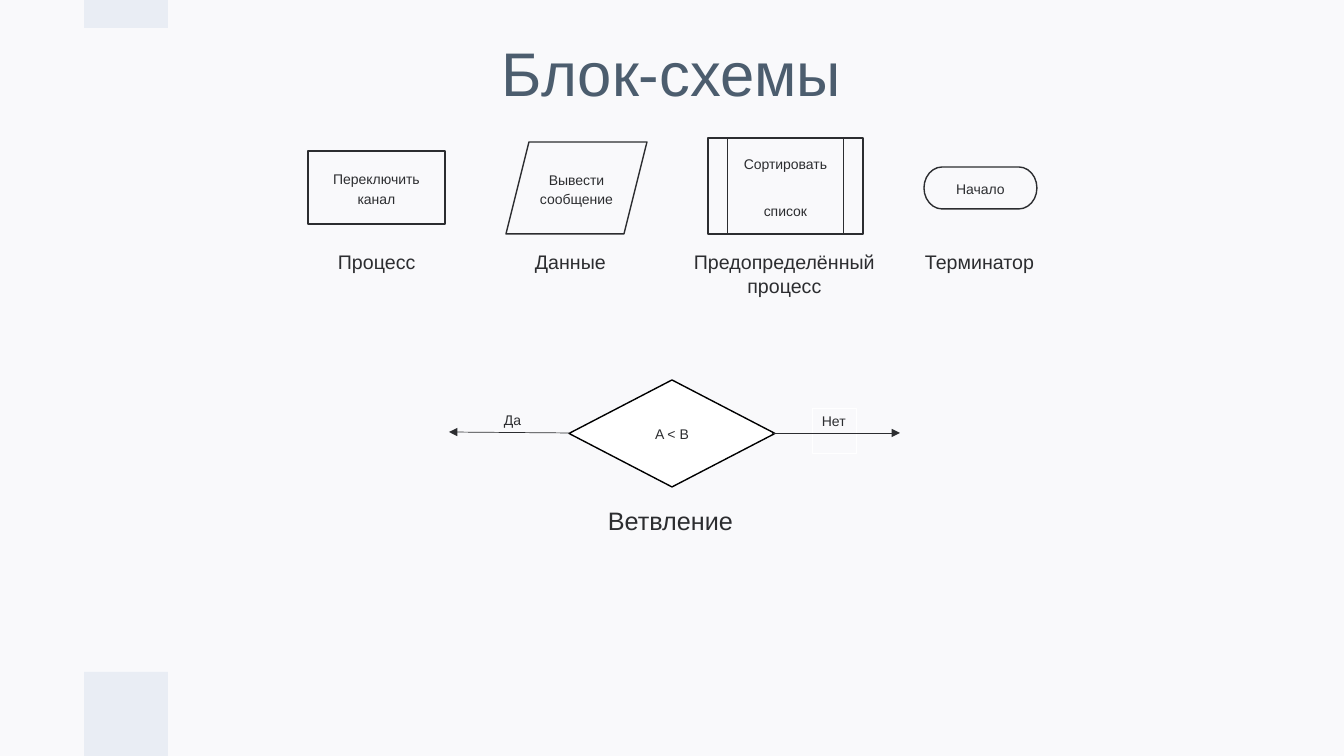
"""Build a slide that shows the basic flowchart symbols."""
from lxml.etree import SubElement
from pptx import Presentation
from pptx.dml.color import RGBColor
from pptx.enum.shapes import MSO_CONNECTOR as Connector, MSO_SHAPE as Shape
from pptx.enum.text import MSO_ANCHOR as Anchor, MSO_AUTO_SIZE as AutoSize, PP_ALIGN as Align
from pptx.oxml.ns import qn
from pptx.util import Pt

EMU_PER_PIXEL = 914400 / 100.8
COLORS = {"background": "F9F9FB", "accent": "E9EDF4", "title": "4C5D6E",
          "ink": "2C2D30", "white": "FFFFFF", "black": "000000"}
CENTERED = {"alignment": Align.CENTER}
SPACED = {**CENTERED, "line_spacing": 1.15, "space_before": Pt(10), "space_after": Pt(10)}


def pixels(*lengths):
    return [round(length * EMU_PER_PIXEL) for length in lengths]


def color(name):
    return RGBColor.from_string(COLORS[name])


def apply_format(target, values):
    for name, value in values.items():
        setattr(target, name, value)


class SlideBuilder:
    def __init__(self, slide, font="Arial"):
        self.slide = slide
        self.font = font
        self.paint(slide.background.fill, "background")

    def paint(self, fill, name):
        if name:
            fill.solid()
            fill.fore_color.rgb = color(name)
        else:
            fill.background()

    def set_text(self, shape, lines, size, ink="ink", formats=({},), frame=None):
        apply_format(shape.text_frame, {"word_wrap": True, **(frame or {})})
        shape.text_frame.text = "\n".join(lines)
        for index, paragraph in enumerate(shape.text_frame.paragraphs):
            values = formats[min(index, len(formats) - 1)]
            apply_format(paragraph, {"alignment": Align.LEFT, **values})
            for run in paragraph.runs:
                apply_format(run.font, {"name": self.font, "size": Pt(size)})
                run.font.color.rgb = color(ink)

    def text(self, box, lines, size, **style):
        self.set_text(self.slide.shapes.add_textbox(*pixels(*box)), lines, size, **style)

    def label(self, box, lines, size=14, grow=True, formats=({},)):
        fit = AutoSize.SHAPE_TO_FIT_TEXT if grow else AutoSize.NONE
        self.text(box, lines, size, formats=formats, frame={"word_wrap": False, "auto_size": fit})

    def symbol(self, kind, box, fill=None, line=None, width=1, lines=(), **style):
        shape = self.slide.shapes.add_shape(kind, *pixels(*box))
        shape.shadow.inherit = False
        self.paint(shape.fill, fill)
        self.paint(shape.line.fill, line)
        if line:
            shape.line.width = Pt(width)
        if lines:
            self.set_text(shape, lines, 10, **style)

    def arrow(self, start, end):
        connector = self.slide.shapes.add_connector(Connector.STRAIGHT, *pixels(*start, *end))
        self.paint(connector.line.fill, "ink")
        connector.line.width = Pt(0.5)
        properties = connector.element.spPr
        SubElement(properties.find(qn("a:ln")), qn("a:tailEnd"), type="triangle")
        SubElement(properties, qn("a:effectLst"))


presentation = Presentation()
presentation.slide_width, presentation.slide_height = pixels(1344, 756)
builder = SlideBuilder(presentation.slides.add_slide(presentation.slide_layouts[6]))

margins = dict.fromkeys(("margin_left", "margin_top", "margin_right", "margin_bottom"), Pt(9.6))
builder.text((168, 40, 1007, 74), ["Блок-схемы"], 44, ink="title",
             formats=[{**CENTERED, "line_spacing": 0.9}],
             frame={**margins, "vertical_anchor": Anchor.MIDDLE})

for top, height in ((672, 84), (0, 28)):
    builder.symbol(Shape.RECTANGLE, (84, top, 84, height), fill="accent")

SYMBOLS = [
    (Shape.RECTANGLE, (308, 151, 137, 73), ["Переключить канал"], Anchor.MIDDLE,
     (328, 245, 99, 34), ["Процесс"]),
    (Shape.PARALLELOGRAM, (506, 142, 141, 92), ["Вывести сообщение"], Anchor.MIDDLE,
     (525, 245, 91, 34), ["Данные"]),
    (Shape.FLOWCHART_PREDEFINED_PROCESS, (708, 138, 155, 96), ["Сортировать", "список"],
     Anchor.MIDDLE, (684, 245, 202, 58), ["Предопределённый", "процесс"]),
    (Shape.FLOWCHART_TERMINATOR, (924, 167, 113, 42), ["Начало"], Anchor.TOP,
     (915, 245, 130, 34), ["Терминатор"]),
]
for kind, box, lines, anchor, label_box, caption in SYMBOLS:
    builder.symbol(kind, box, "background", "ink", lines=lines, formats=[SPACED],
                   frame={"vertical_anchor": anchor})
    builder.label(label_box, caption, formats=({}, CENTERED))

builder.symbol(Shape.FLOWCHART_DECISION, (569, 380, 206, 107), "white", "black",
               lines=["A < B"], formats=[CENTERED], frame={"vertical_anchor": Anchor.MIDDLE})
builder.symbol(Shape.RECTANGLE, (812, 408, 44, 45), line="white", width=0.5, lines=["Нет"],
               frame={"word_wrap": False, "vertical_anchor": Anchor.TOP})
builder.arrow((772, 433), (900, 433))
builder.arrow((569, 433), (449, 432))
builder.label((494, 407, 37, 45), ["Да"], size=10, grow=False)
builder.label((598, 500, 147, 40), ["Ветвление"], size=18)

presentation.save("out.pptx")
